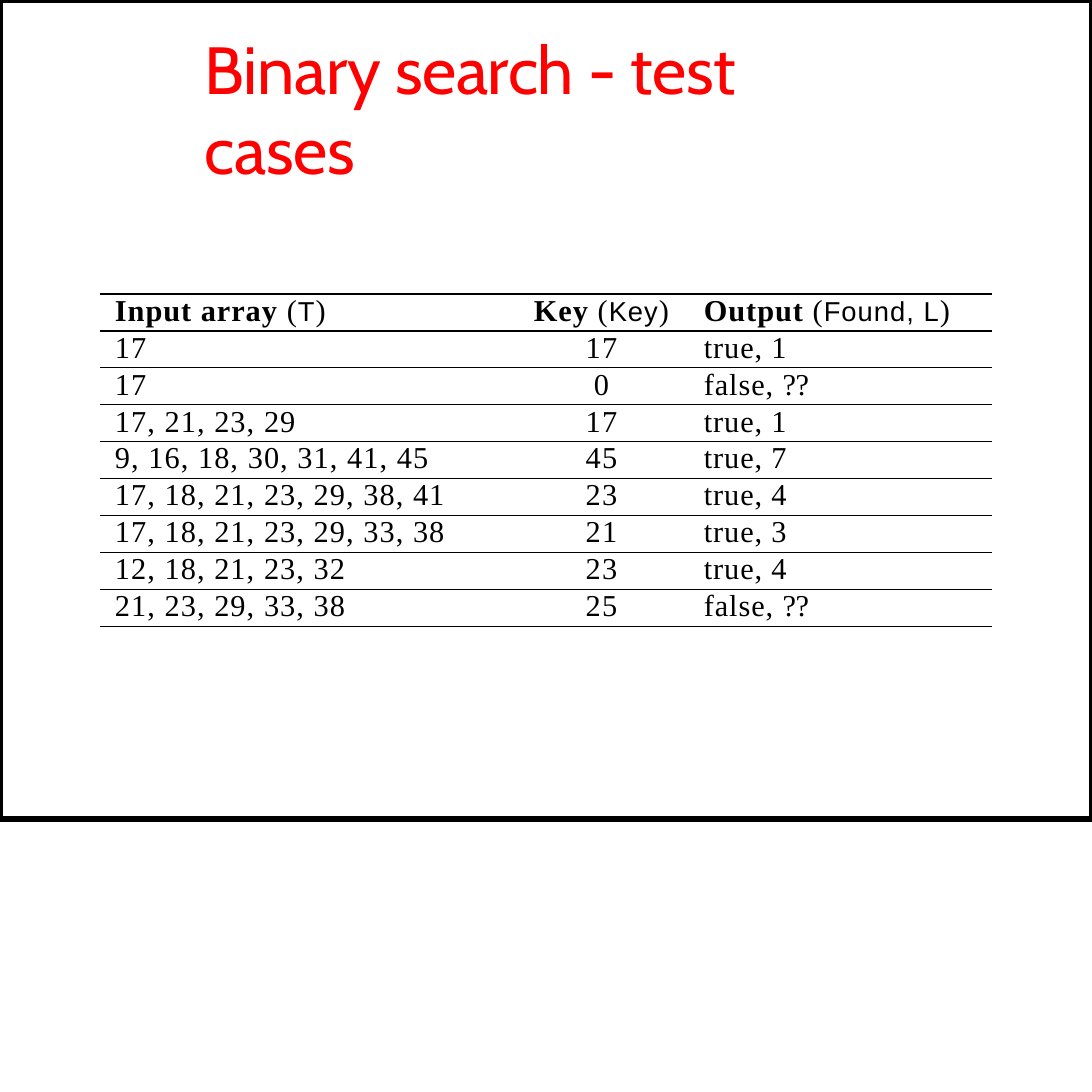
from lxml.etree import SubElement
from pptx import Presentation
from pptx.dml.color import RGBColor
from pptx.enum.shapes import MSO_SHAPE
from pptx.enum.text import MSO_ANCHOR, MSO_AUTO_SIZE, PP_ALIGN
from pptx.oxml.ns import qn
from pptx.util import Emu, Inches, Pt

RED = RGBColor(0xFF, 0x00, 0x00)
BLACK = RGBColor(0x00, 0x00, 0x00)
THIN, MEDIUM = 0.25, 0.5

# Header runs: (text, bold, is_code)
HEADER = [
    [("Input array ", True, False), ("(", False, False), ("T", False, True), (")", False, False)],
    [("Key ", True, False), ("(", False, False), ("Key", False, True), (")", False, False)],
    [("Output ", True, False), ("(", False, False), ("Found, L", False, True), (")", False, False)],
]
CASES = [
    ("17", "17", "true, 1"),
    ("17", "0", "false, ??"),
    ("17, 21, 23, 29", "17", "true, 1"),
    ("9, 16, 18, 30, 31, 41, 45", "45", "true, 7"),
    ("17, 18, 21, 23, 29, 38, 41", "23", "true, 4"),
    ("17, 18, 21, 23, 29, 33, 38", "21", "true, 3"),
    ("12, 18, 21, 23, 32", "23", "true, 4"),
    ("21, 23, 29, 33, 38", "25", "false, ??"),
]
# Rule above each row, then the closing rule
RULES = [MEDIUM, MEDIUM, THIN, THIN, MEDIUM, MEDIUM, MEDIUM, MEDIUM, THIN, THIN]
# Columns: width, left margin, alignment, letter spacing
COLUMNS = [
    (389, 15, PP_ALIGN.LEFT, 0.37),
    (199, 26, PP_ALIGN.CENTER, 0.5),
    (304, 16, PP_ALIGN.LEFT, 0.3),
]


def px(n):
    return Emu(round(n * 914400 / 218.4))


class Deck:
    serif, sans, title_font = "Times New Roman", "Arial", "Cabin"

    def __init__(self):
        self.prs = Presentation()
        self.prs.slide_width = self.prs.slide_height = Inches(5)
        self.s = self.prs.slides.add_slide(self.prs.slide_layouts[5])

    def add_run(self, p, text, spacing):
        r = p.add_run()
        r.text = text
        r.font._element.set("spc", str(round(spacing * 100)))
        return r

    def title(self, text, x, y, w, h):
        sp = self.s.shapes.title
        sp.left, sp.top, sp.width, sp.height = px(x), px(y), px(w), px(h)
        tf = sp.text_frame
        tf.margin_left = tf.margin_right = tf.margin_bottom = 0
        tf.margin_top = px(2)
        tf.word_wrap = True
        tf.auto_size = MSO_AUTO_SIZE.SHAPE_TO_FIT_TEXT
        tf.vertical_anchor = MSO_ANCHOR.TOP
        p = tf.paragraphs[0]
        p.alignment = PP_ALIGN.LEFT
        p.font.name, p.font.size = self.title_font, Pt(22)
        p.font.color.rgb = RED
        self.add_run(p, text, -0.1)

    def borders(self, cell, top, bottom):
        tc_pr = cell._tc.get_or_add_tcPr()
        for tag, width in (("a:lnL", 0), ("a:lnR", 0), ("a:lnT", top), ("a:lnB", bottom)):
            ln = SubElement(tc_pr, qn(tag), w=str(Pt(width)))
            if width:
                fill = SubElement(ln, qn("a:solidFill"))
                SubElement(fill, qn("a:srgbClr"), val=str(BLACK))
            else:
                SubElement(ln, qn("a:noFill"))

    def cell(self, cell, runs, margin, align, spacing):
        cell.fill.background()
        cell.margin_left = px(margin)
        cell.margin_right = cell.margin_top = cell.margin_bottom = 0
        p = cell.text_frame.paragraphs[0]
        p.alignment = align
        p.line_spacing = Pt(11.2)
        p.font.name, p.font.size = self.serif, Pt(10)
        p.font.color.rgb = BLACK
        for text, bold, is_code in runs:
            r = self.add_run(p, text, -0.1 if text == "??" else spacing)
            r.font.bold = bold
            if is_code:
                r.font.name, r.font.size = self.sans, Pt(9)

    def table(self, x, y, h):
        n = len(CASES) + 1
        w = sum(col[0] for col in COLUMNS)
        table = self.s.shapes.add_table(n, len(COLUMNS), px(x), px(y), px(w), px(h)).table
        table.first_row = table.horz_banding = False
        for row in table.rows:
            row.height = px(h / n)
        for j, (width, margin, align, spacing) in enumerate(COLUMNS):
            table.columns[j].width = px(width)
            for i in range(n):
                if i == 0:
                    runs = HEADER[j]
                else:
                    text = CASES[i - 1][j]
                    parts = ["false, ", "??"] if text.endswith("??") else [text]
                    runs = [(part, False, False) for part in parts]
                cell = table.cell(i, j)
                self.borders(cell, RULES[i], RULES[i + 1])
                self.cell(cell, runs, margin, align, 0.35 if i == 0 else spacing)

    def frame(self, x, y, w, h):
        sp = self.s.shapes.add_shape(MSO_SHAPE.RECTANGLE, px(x), px(y), px(w), px(h))
        sp.shadow.inherit = False
        sp.fill.background()
        sp.line.color.rgb = BLACK
        sp.line.width = Pt(1.92)


def main():
    deck = Deck()
    # Heading
    deck.title("Binary search - test cases", 205, 26, 682, 85)
    # Test cases
    deck.table(100, 294, 332)
    # Slide border
    deck.frame(0, 0, 1092, 819)
    deck.prs.save("out.pptx")


if __name__ == "__main__":
    main()
